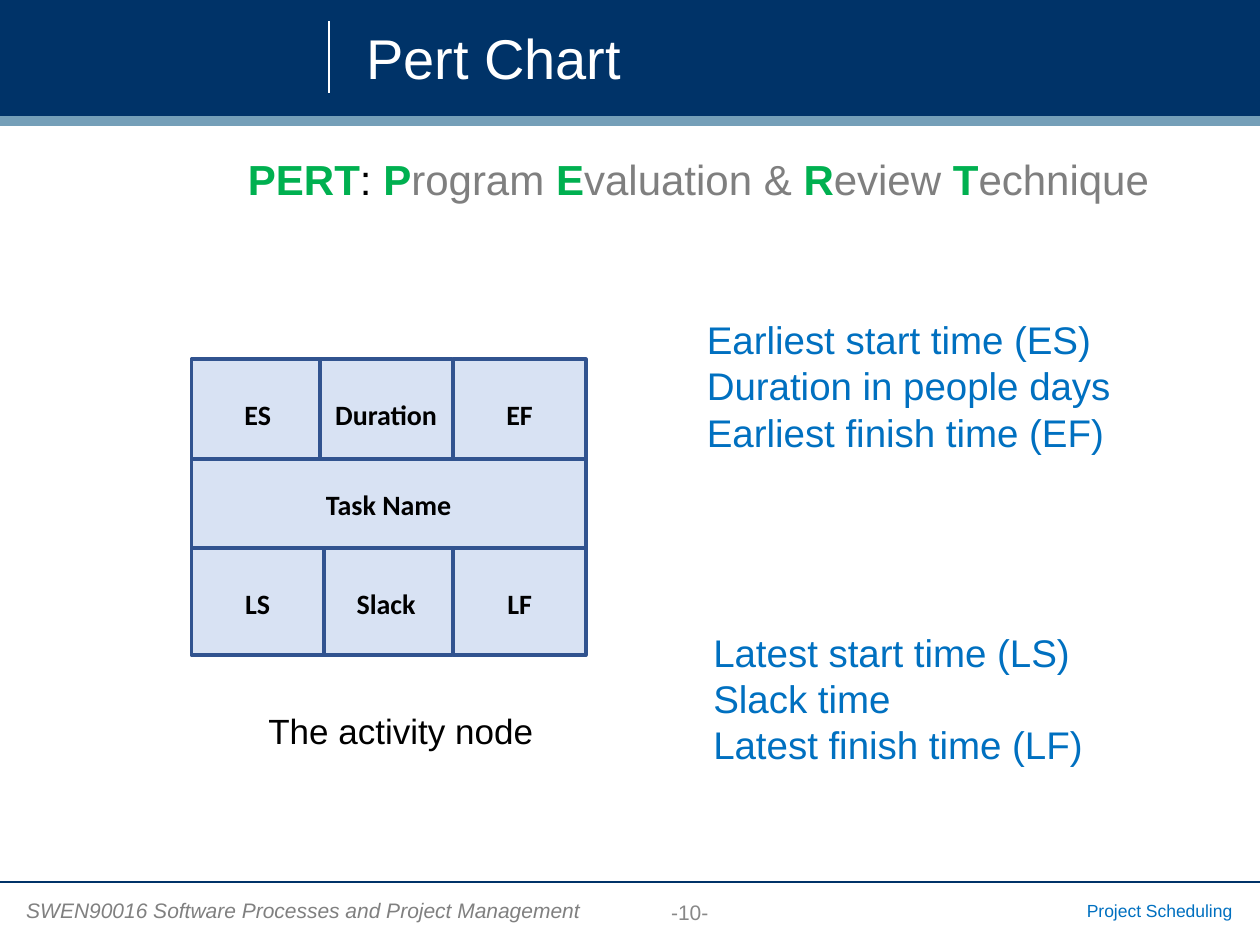
from lxml import etree
from pptx import Presentation
from pptx.dml.color import RGBColor
from pptx.enum import shapes, text
from pptx.oxml import ns
from pptx.util import Cm, Pt

NAVY, BLUE, GREEN, GREY = "003368", "0070C0", "00B050", "7F7F7F"
WHITE, BLACK = "FFFFFF", "000000"
LEFT, CENTER, RIGHT = text.PP_ALIGN.LEFT, text.PP_ALIGN.CENTER, text.PP_ALIGN.RIGHT
TOP, MIDDLE = text.MSO_ANCHOR.TOP, text.MSO_ANCHOR.MIDDLE


def color(value):
    """Turn a hex string into a colour."""
    return RGBColor.from_string(value)


def style(font, size, shade, name="Arial", bold=False, italic=False):
    """Set the look of a font."""
    font.name, font.size, font.bold, font.italic = name, Pt(size), bold, italic
    font.color.rgb = color(shade)


def add_text(page, box, lines, size, shade, align=LEFT, anchor=TOP, wrap=True, italic=False):
    """Add a text box with one paragraph per line and return its frame."""
    frame = page.shapes.add_textbox(*map(Cm, box)).text_frame
    frame.word_wrap, frame.vertical_anchor = wrap, anchor
    frame.text = "\n".join(lines)
    for paragraph in frame.paragraphs:
        paragraph.alignment = align
        style(paragraph.font, size, shade, italic=italic)
    return frame


def add_block(page, box, fill, border=None):
    """Add a flat rectangle, bordered if a border colour is given."""
    block = page.shapes.add_shape(shapes.MSO_SHAPE.RECTANGLE, *map(Cm, box))
    block.shadow.inherit = False
    block.fill.solid()
    block.fill.fore_color.rgb = color(fill)
    if border:
        block.line.color.rgb = color(border)
        block.line.width = Pt(2)
    else:
        block.line.fill.background()
    return block


def add_line(page, start, end, shade):
    """Add a thin straight line without a shadow."""
    line = page.shapes.add_connector(
        shapes.MSO_CONNECTOR.STRAIGHT, *map(Cm, (*start, *end)))
    line.line.color.rgb = color(shade)
    line.line.width = Pt(0.75)
    etree.SubElement(line._element.spPr, ns.qn("a:effectLst"))


def add_header(page, box):
    """Draw the title band with its divider and title."""
    left, top, width, height = box
    add_block(page, box, NAVY)
    add_line(page, (left + 6.63, top + 0.43), (left + 6.63, top + 1.88), WHITE)
    add_block(page, (left, top + height, width, 0.2), "759FB8")
    add_text(page, (left + 7.13, top + 0.2, 18, 1.9), ["Pert Chart"], 32, WHITE, anchor=MIDDLE)


def add_expansion(page, box):
    """Spell out the acronym with its initials picked out."""
    frame = add_text(page, box, [""], 24, GREEN)
    paragraph = frame.paragraphs[0]
    words = [("PERT", ": "), ("P", "rogram "), ("E", "valuation & "),
             ("R", "eview "), ("T", "echnique")]
    for initial, rest in words:
        for part, shade in ((initial, GREEN), (rest, BLACK if rest == ": " else GREY)):
            span = paragraph.add_run()
            span.text = part
            style(span.font, 24, shade, bold=shade == GREEN)


def add_node(page, box):
    """Draw the activity node as two rows of three cells around the task name."""
    left, top, width, height = box
    cell_width, cell_height = 2.67, 2.16
    columns = [left, left + 2.59, left + width - cell_width]
    lower = top + height - cell_height
    cells = [("Slack", columns[1], lower), ("ES", columns[0], top),
             ("Duration", columns[1], top), ("EF", columns[2], top),
             ("LS", columns[0], lower), ("LF", columns[2], lower)]
    places = [(name, (x, y, cell_width, cell_height)) for name, x, y in cells]
    places.append(("Task Name", (left, top + 2.01, width, 1.8)))
    for name, place in places:
        frame = add_block(page, place, "D8E2F3", "31538F").text_frame
        frame.word_wrap, frame.vertical_anchor = True, MIDDLE
        frame.text = name
        paragraph = frame.paragraphs[0]
        paragraph.alignment, paragraph.line_spacing = CENTER, 1.07
        style(paragraph.font, 16, BLACK, "Calibri", bold=True)
    add_text(page, (left + 1.3, top + 6.93, 5.9, 1.12), ["The activity node"], 20, BLACK, wrap=False)


def add_legend(page, box):
    """List the meanings of the upper and lower cells."""
    left, top, width, height = box
    add_text(page, (left, top, width, height),
             ["Earliest start time (ES)", "Duration in people days", "Earliest finish time (EF)"],
             22, BLUE)
    add_text(page, (left + 0.13, top + 6.3, width, height),
             ["Latest start time (LS)", "Slack time", "Latest finish time (LF)"], 22, BLUE)


def add_footer(page, box):
    """Draw the footer rule, course, page number and topic."""
    left, top, width, height = box
    add_line(page, (left, top), (left + width, top), NAVY)
    add_text(page, (left + 0.28, top + 0.18, 11.76, 0.76),
             ["SWEN90016 Software Processes and Project Management"], 12, "808080", italic=True)
    add_text(page, (left + 10.08, top + 0.18, 7.65, 0.86), ["-10-"], 12, "888888", CENTER, MIDDLE)
    add_text(page, (left + 19.86, top + 0.23, 5.23, 0.69), ["Project Scheduling"], 10, BLUE, RIGHT)


def main():
    """Build the slide and save it."""
    deck = Presentation()
    deck.slide_width, deck.slide_height = Cm(25.4), Cm(19.05)
    page = deck.slides.add_slide(deck.slide_layouts[6])
    add_header(page, (0, 0, 25.4, 2.34))
    add_expansion(page, (4.75, 2.97, 19.25, 1.63))
    add_node(page, (3.86, 7.24, 7.95, 5.97))
    add_legend(page, (14, 6.25, 8.9, 3.07))
    add_footer(page, (0, 17.78, 25.4, 1.27))
    deck.save("out.pptx")


if __name__ == "__main__":
    main()
